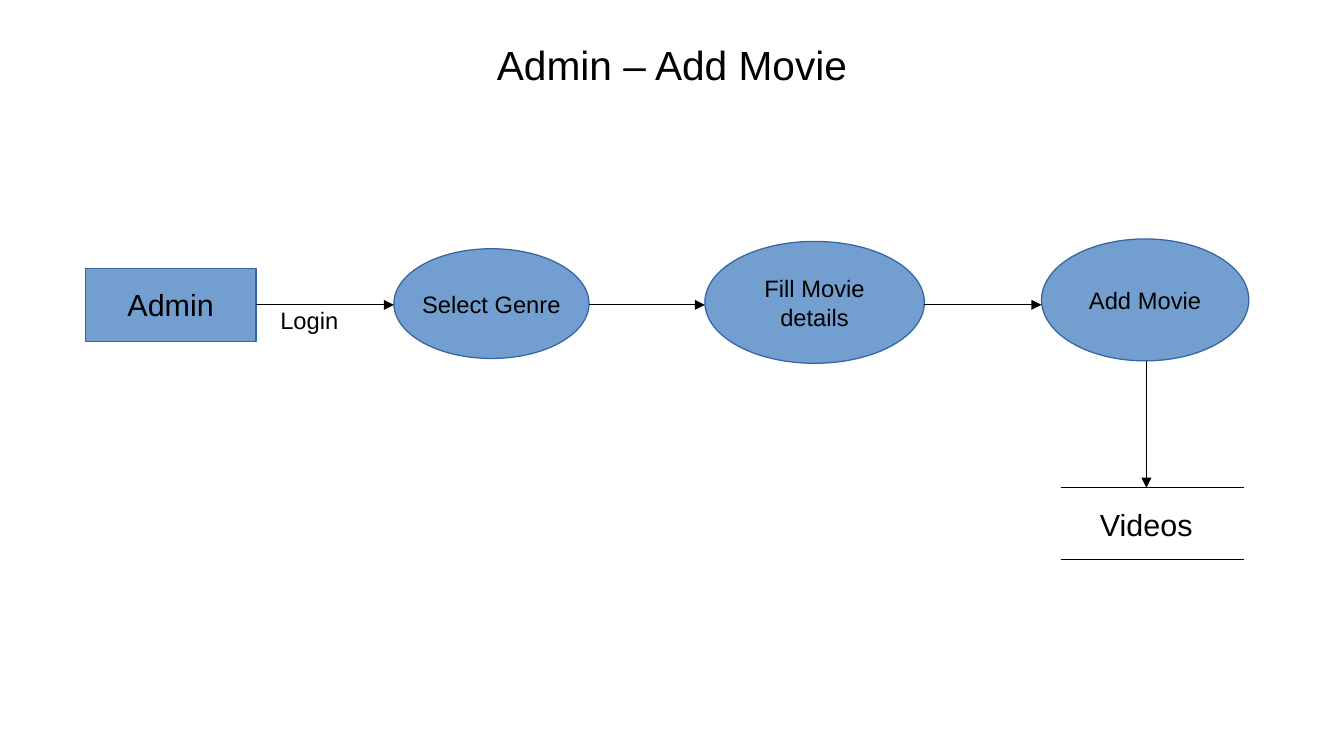
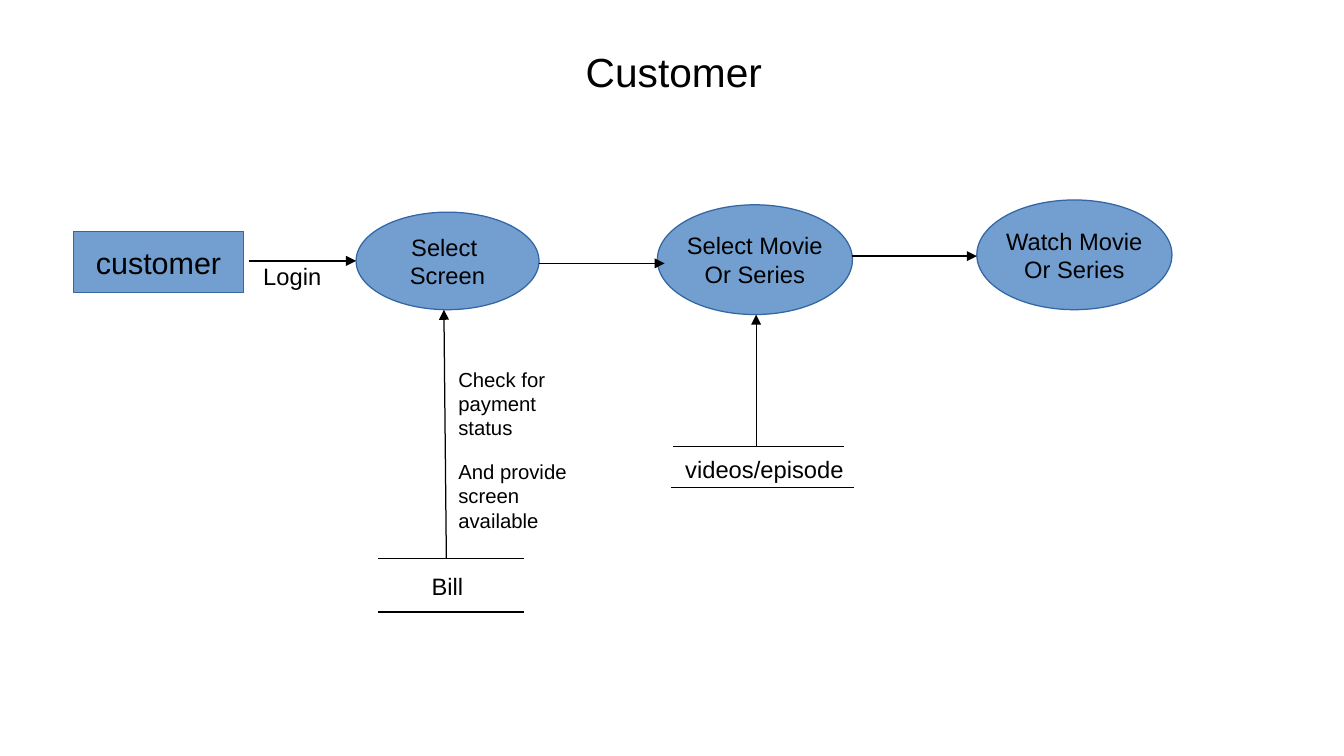
from lxml.etree import SubElement
from pptx import Presentation
from pptx.dml.color import RGBColor
from pptx.enum.shapes import MSO_CONNECTOR, MSO_SHAPE as Preset
from pptx.enum.text import MSO_ANCHOR as Anchor, PP_ALIGN as Align
from pptx.oxml.ns import qn
from pptx.util import Inches, Pt

COLORS = {name: RGBColor.from_string(value) for name, value in {
    "ink": "000000", "node": "729FCF", "border": "3465A4"}.items()}
FONT = "Arial"
LINE_WIDTH = Pt(0.75)
INSETS = {"margin_left": Inches(0.1), "margin_right": Inches(0.1),
          "margin_top": Inches(0.05), "margin_bottom": Inches(0.05)}
NO_INSETS = dict.fromkeys(INSETS, 0)
TITLE = {"vertical_anchor": Anchor.MIDDLE, "word_wrap": True, **NO_INSETS}
NODE = {"vertical_anchor": Anchor.MIDDLE, "word_wrap": False, **INSETS}
LABEL = {"vertical_anchor": Anchor.TOP, "word_wrap": True, **INSETS}

# Boxes are (left, top, width, height); arrows and rules are (x1, y1, x2, y2).
# Nodes and labels are (box, size, paragraphs); label gaps are in points.
FLOWS = [
    {
        "title": ("Admin – Add Movie", (0.55, 0.25, 9.92, 0.55)),
        "entity": ((0.7, 2.2, 1.4, 0.6), 18, ["Admin"]),
        "processes": [
            ((3.23, 2.04, 1.6, 0.9), 14, ["Select Genre"]),
            ((5.78, 1.98, 1.8, 1), 14, ["Fill Movie", "details"]),
            ((8.54, 1.96, 1.7, 1), 14, ["Add Movie"]),
        ],
        "rules": [(8.7, y, 10.2, y) for y in (4, 4.59)],
        "arrows": [(2.1, 2.5, 3.23, 2.5), (4.83, 2.5, 5.78, 2.5),
                   (7.58, 2.5, 8.54, 2.5), (9.4, 2.96, 9.4, 4)],
        "labels": [
            ((8.92, 4.1, 1.4, 0.38), 18, ["Videos"], 0),
            ((2.2, 2.46, 0.8, 0.32), 14, ["Login"], 0),
        ],
    },
    {
        "title": ("Customer", (0.65, 0.4, 9.75, 0.37)),
        "entity": ((0.6, 1.9, 1.4, 0.5), 18, ["customer"]),
        "processes": [
            ((2.92, 1.74, 1.5, 0.8), 14, ["Select ", "Screen"]),
            ((5.39, 1.68, 1.6, 0.9), 14, ["Select Movie", "Or Series"]),
            ((8.01, 1.64, 1.6, 0.9), 14, ["Watch Movie", "Or Series"]),
        ],
        "rules": [(5.52, 3.66, 6.92, 3.66), (5.5, 4, 7, 4),
                  *[(3.1, y, 4.3, y) for y in (4.58, 5.02)]],
        "arrows": [(2.04, 2.14, 2.92, 2.14), (4.42, 2.16, 5.45, 2.16),
                   (6.99, 2.1, 8.01, 2.1), (6.2, 3.66, 6.2, 2.58),
                   (3.66, 4.58, 3.64, 2.54)],
        "labels": [
            ((2.06, 2.1, 0.7, 0.32), 14, ["Login"], 0),
            ((5.52, 3.68, 1.6, 0.32), 14, ["videos/episode"], 0),
            ((3.44, 4.64, 1, 0.32), 14, ["Bill"], 0),
            ((3.66, 2.96, 1.1, 1.22), 12,
             ["Check for payment status", "And provide screen available"], 11.3),
        ],
    },
]


def write_text(frame, paragraphs, size, layout, align=Align.CENTER, gap=0):
    """Lay out a text frame and fill it with one run per paragraph."""
    for attribute, value in layout.items():
        setattr(frame, attribute, value)
    for index, words in enumerate(paragraphs):
        paragraph = frame.add_paragraph() if index else frame.paragraphs[0]
        paragraph.alignment = align
        paragraph.space_before = Pt(gap)
        run = paragraph.add_run()
        run.text = words
        run.font.color.rgb = COLORS["ink"]
        for attribute, value in {"name": FONT, "size": Pt(size), "bold": False}.items():
            setattr(run.font, attribute, value)


def draw_line(slide, ends, arrow):
    """Draw a thin straight line, with an arrowhead at its end if asked."""
    connector = slide.shapes.add_connector(MSO_CONNECTOR.STRAIGHT, *map(Inches, ends))
    connector.line.color.rgb = COLORS["ink"]
    connector.line.width = LINE_WIDTH
    properties = connector._element.spPr
    if arrow:
        SubElement(properties.find(qn("a:ln")), qn("a:tailEnd"), type="triangle")
    SubElement(properties, qn("a:effectLst"))


deck = Presentation()
deck.slide_width, deck.slide_height = Inches(11.02), Inches(6.2)
title_only = deck.slide_layouts[5]

for flow in FLOWS:
    slide = deck.slides.add_slide(title_only)

    heading, box = flow["title"]
    title = slide.shapes.title
    for side, length in zip(("left", "top", "width", "height"), box):
        setattr(title, side, Inches(length))
    write_text(title.text_frame, [heading], 24, TITLE)

    nodes = [(Preset.RECTANGLE, flow["entity"])]
    nodes += [(Preset.OVAL, process) for process in flow["processes"]]
    for preset, (box, size, words) in nodes:
        node = slide.shapes.add_shape(preset, *map(Inches, box))
        node.shadow.inherit = False
        node.fill.solid()
        node.fill.fore_color.rgb = COLORS["node"]
        node.line.color.rgb = COLORS["border"]
        node.line.width = LINE_WIDTH
        write_text(node.text_frame, words, size, NODE)

    for kind in ("rules", "arrows"):
        for ends in flow[kind]:
            draw_line(slide, ends, arrow=kind == "arrows")

    for box, size, words, gap in flow["labels"]:
        label = slide.shapes.add_textbox(*map(Inches, box))
        write_text(label.text_frame, words, size, LABEL, Align.LEFT, gap)

deck.save("out.pptx")
